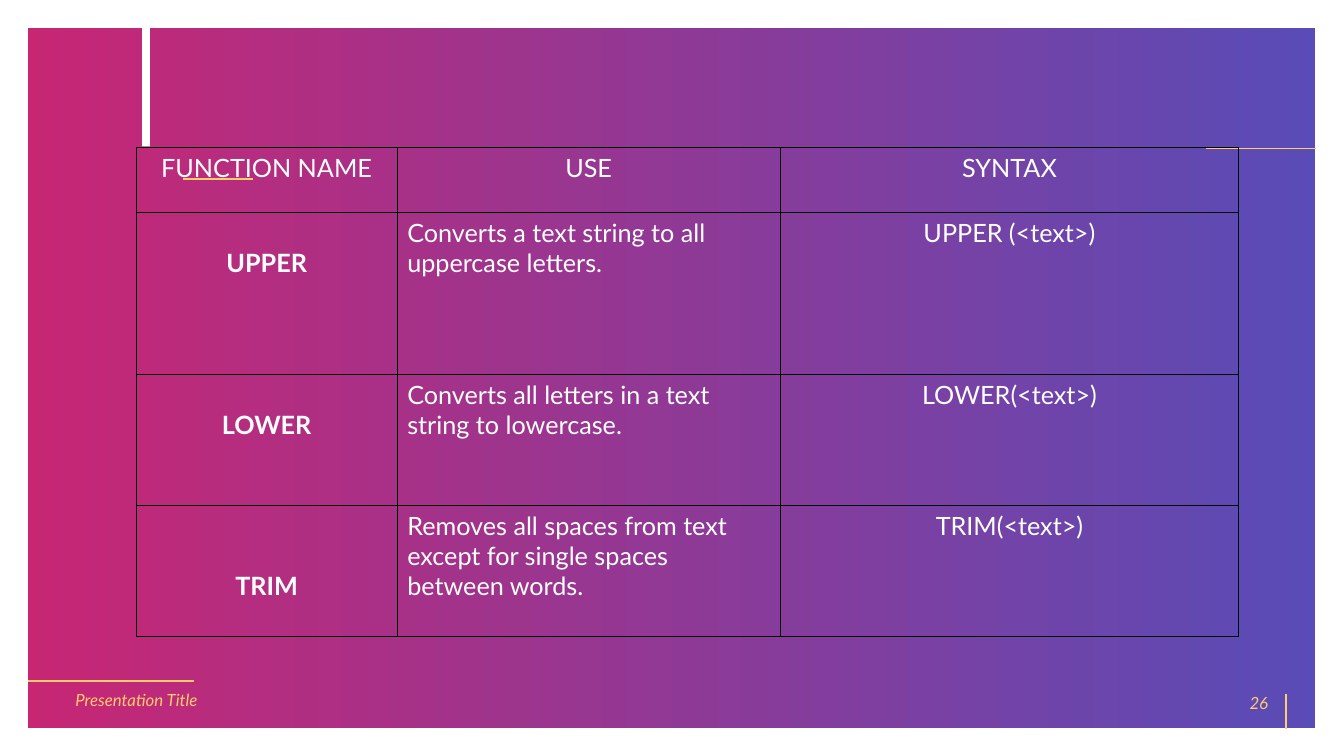
from lxml.etree import SubElement
from pptx import Presentation
from pptx.dml.color import RGBColor
from pptx.enum.shapes import MSO_CONNECTOR, MSO_SHAPE
from pptx.enum.text import MSO_ANCHOR, PP_ALIGN
from pptx.oxml import parse_xml
from pptx.oxml.ns import nsdecls, qn
from pptx.util import Cm, Pt

WHITE, GOLD, BLACK = "FFFFFF", "FFCD6B", "000000"
PINK, INDIGO = "C82673", "584CB8"
LINE_HEIGHT = 0.76  # one 18 pt line of Lato, in cm


def color(value):
    return RGBColor.from_string(value)


class SlideBuilder:
    body = {"name": "Lato", "size": Pt(18), "bold": False}
    footer = {"name": "Lato", "size": Pt(12), "italic": True}

    def __init__(self, page):
        self.page = page

    def add_text(self, frame, text, style, tint, align):
        para = frame.paragraphs[0]
        para.alignment = align
        span = para.add_run()
        span.text = text
        for key, value in style.items():
            setattr(span.font, key, value)
        span.font.color.rgb = color(tint)

    def rectangle(self, *place):
        shape = self.page.shapes.add_shape(MSO_SHAPE.RECTANGLE, *map(Cm, place))
        shape.shadow.inherit = False
        return shape

    def panel(self, place, start, end, border):
        shape = self.rectangle(*place)
        shape.fill.gradient()
        shape.fill.gradient_angle = 0
        for stop, tint, position in zip(shape.fill.gradient_stops, (start, end), (0, 1)):
            stop.color.rgb = color(tint)
            stop.position = position
        shape.line.color.rgb = color(WHITE)
        shape.line.width = Pt(border)

    def bar(self, place, tint):
        shape = self.rectangle(*place)
        shape.fill.solid()
        shape.fill.fore_color.rgb = color(tint)
        shape.line.fill.background()

    def rule(self, ends, width):
        line = self.page.shapes.add_connector(MSO_CONNECTOR.STRAIGHT, *map(Cm, ends))
        line.line.color.rgb = color(GOLD)
        line.line.width = Pt(width)
        SubElement(line._element.spPr, qn("a:effectLst"))

    def footer_text(self, place, text, align):
        box = self.page.shapes.add_textbox(*map(Cm, place))
        box.text_frame.word_wrap = True
        box.text_frame.vertical_anchor = MSO_ANCHOR.MIDDLE
        self.add_text(box.text_frame, text, self.footer, GOLD, align)

    def cell_borders(self, cell):
        properties = cell._tc.get_or_add_tcPr()
        for index, side in enumerate(("lnL", "lnR", "lnT", "lnB")):
            properties.insert(index, parse_xml(
                f'<a:{side} {nsdecls("a")} w="12700"><a:solidFill>'
                f'<a:srgbClr val="{BLACK}"/></a:solidFill></a:{side}>'))

    def table(self, left, top, widths, heights, rows, name_drops):
        grid = self.page.shapes.add_table(
            len(rows), len(widths), Cm(left), Cm(top),
            Cm(sum(widths)), Cm(sum(heights))).table
        grid.first_row = grid.horz_banding = False
        for column, width in zip(grid.columns, widths):
            column.width = Cm(width)
        for row, height in zip(grid.rows, heights):
            row.height = Cm(height)
        for r, texts in enumerate(rows):
            for c, text in enumerate(texts):
                cell = grid.cell(r, c)
                cell.fill.background()
                self.cell_borders(cell)
                is_name = r > 0 and c == 0
                if is_name:
                    cell.margin_top = Cm(0.13 + name_drops[r] * LINE_HEIGHT)
                align = PP_ALIGN.LEFT if r > 0 and c == 1 else PP_ALIGN.CENTER
                style = {**self.body, "bold": is_name}
                self.add_text(cell.text_frame, text, style, WHITE, align)


def main():
    deck = Presentation()
    deck.slide_width, deck.slide_height = Cm(33.87), Cm(19.05)
    slide = SlideBuilder(deck.slides.add_slide(deck.slide_layouts[6]))

    # Background and decoration
    slide.panel((0.33, 0.33, 33.2, 18.39), PINK, INDIGO, 21.5)
    slide.bar((3.58, 0.69, 0.2, 3), WHITE)
    for ends, width in [
        ((4.62, 4.5, 6.38, 4.5), 1.5),
        ((30.38, 3.73, 33.17, 3.73), 0.5),
        ((32.41, 18.36, 32.41, 17.5), 1.5),
        ((0.71, 17.15, 4.9, 17.15), 1.5),
    ]:
        slide.rule(ends, width)

    # Footer
    slide.footer_text((1.65, 17.12, 7.75, 1.02), "Presentation Title", PP_ALIGN.LEFT)
    slide.footer_text((24.59, 17.2, 7.62, 1.02), "26", PP_ALIGN.RIGHT)

    # Text functions
    slide.table(3.43, 3.72, (6.58, 9.65, 11.56), (1.63, 4.09, 3.3, 3.3), [
        ("FUNCTION NAME", "USE", "SYNTAX"),
        ("UPPER", "Converts a text string to all uppercase letters.", "UPPER (<text>)"),
        ("LOWER", "Converts all letters in a text string to lowercase.", "LOWER(<text>)"),
        ("TRIM", "Removes all spaces from text except for single spaces between words.",
         "TRIM(<text>)"),
    ], name_drops=(0, 1, 1, 2))

    deck.save("out.pptx")


if __name__ == "__main__":
    main()
